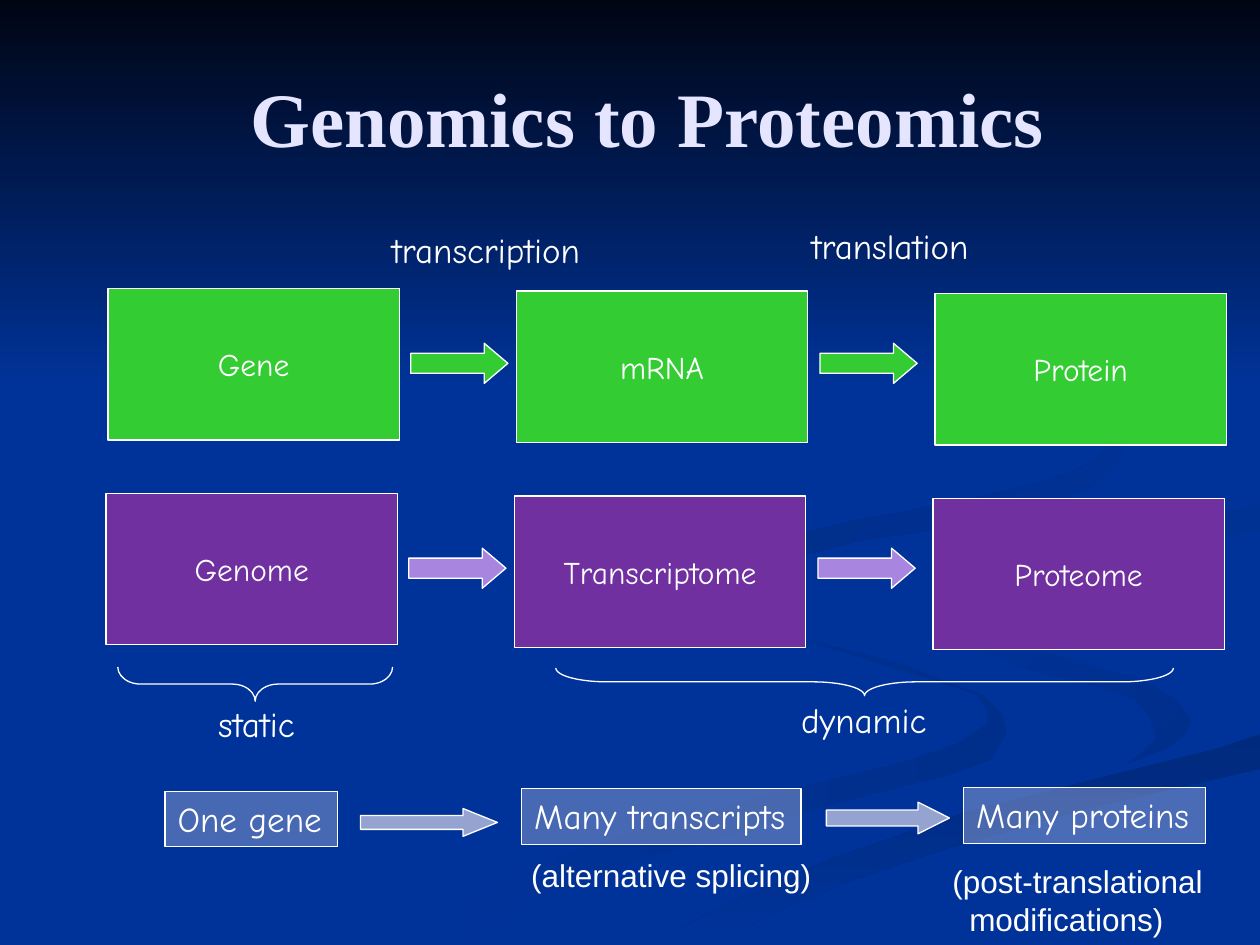
"""Build the slide that leads from genomics to proteomics."""
from dataclasses import dataclass

from lxml.etree import SubElement
from pptx import Presentation
from pptx.dml.color import RGBColor
from pptx.enum.shapes import MSO_SHAPE
from pptx.enum.text import MSO_ANCHOR, MSO_AUTO_SIZE, PP_ALIGN
from pptx.oxml.ns import qn
from pptx.util import Cm, Pt

WHITE, BLUE, GREEN, PURPLE = "FFFFFF", "003399", "33CC33", "7030A0"
LILAC, STEEL = "A886E0", "95A3D1"
HAND = {"name": "Comic Neue", "size": Pt(20)}
BOX_FONT = {"name": "Comic Neue", "size": Pt(18)}
PLAIN = {"name": "Arial", "size": Pt(18)}
TITLE_FONT = {"name": "Times New Roman", "size": Pt(44), "bold": True}
BOX_FRAME = {"vertical_anchor": MSO_ANCHOR.MIDDLE, "word_wrap": False}
LABEL_FRAME = {"vertical_anchor": MSO_ANCHOR.TOP, "word_wrap": False,
               "auto_size": MSO_AUTO_SIZE.NONE}


@dataclass
class Place:
    left: float
    top: float
    width: float
    height: float

    def lengths(self) -> list:
        return [Cm(n) for n in (self.left, self.top, self.width, self.height)]


@dataclass
class Swoosh:
    start: str
    end: str
    angle: int
    outline: list


@dataclass
class Stage:
    top: float
    shift: float
    names: tuple
    box_color: str
    arrow_color: str


@dataclass
class Label:
    place: Place
    lines: tuple
    font: dict
    indent: float = 0


SWOOSHES = [
    Swoosh(BLUE, "002E8B", 0, [
        (198, 140), (192, 138), (182, 134), (163, 129), (153, 124), (148, 121),
        (146, 117), (145, 120), (148, 123), (155, 127), (172, 132), (188, 137),
        (197, 140), (199, 143), (199, 146), (193, 150), (181, 154), (156, 160),
        (127, 168), (106, 175), (86, 185), (76, 190), (92, 190), (109, 181),
        (127, 174), (151, 167), (172, 161), (192, 156), (200, 153), (202, 149),
        (203, 148), (202, 144)]),
    Swoosh(BLUE, "002E8B", 45, [
        (240, 145), (237, 141), (230, 137), (216, 133), (201, 129), (189, 124),
        (185, 122), (184, 118), (184, 120), (188, 125), (195, 130), (207, 135),
        (220, 138), (229, 141), (232, 145), (233, 149), (230, 152), (227, 154),
        (235, 151), (239, 148)]),
    Swoosh("002A7D", BLUE, 90, [
        (132, 190), (128, 190), (145, 190), (156, 184), (170, 178), (191, 171),
        (219, 163), (253.5, 155), (253.5, 148), (245, 151), (229, 155), (194, 164),
        (168, 173), (145, 183)]),
    Swoosh("002D86", BLUE, 45, [
        (198, 117), (200, 120), (205, 124), (210, 126), (205, 123), (204, 120),
        (207, 117), (218, 113), (238, 109), (253.5, 107), (253.5, 102), (237, 105),
        (220, 108), (209, 110), (201, 114)]),
    Swoosh("002B82", BLUE, 45, [
        (173, 109), (194, 106), (210, 102), (220, 98), (226, 92), (227, 87),
        (225, 80), (219, 74), (209, 66), (194, 59), (210, 68), (219, 74),
        (225, 81), (226, 87), (221, 93), (211, 97), (194, 101), (172, 105),
        (156, 109), (148, 113), (147, 117), (150, 123), (158, 127), (152, 122),
        (151, 117), (158, 113)]),
    Swoosh("000514", BLUE, 90, [(0, 0), (0, 78.2), (254, 78.2), (254, 0)]),
]
STAGES = [
    Stage(5.82, 0, ("Gene", "mRNA", "Protein"), GREEN, GREEN),
    Stage(9.95, -0.04, ("Genome", "Transcriptome", "Proteome"), PURPLE, LILAC),
]
BOX_LEFTS, ARROW_LEFTS = (2.18, 10.41, 18.85), (8.28, 16.53)
BOX_DRIFT = 0.05
BRACES = [(Place(4.8, 11.02, 0.69, 5.54), 0.67),
          (Place(17.15, 7.52, 0.56, 12.45), 1.86)]
LABELS = [
    Label(Place(7.65, 4.48, 4.5, 1.12), ("transcription",), HAND),
    Label(Place(16.11, 4.4, 3.9, 1.12), ("translation",), HAND),
    Label(Place(4.15, 14.04, 2.25, 1.12), ("static",), HAND),
    Label(Place(15.9, 13.95, 3.25, 1.12), ("dynamic",), HAND),
    Label(Place(10.46, 17.14, 6.4, 1.02), ("(alternative splicing)",), PLAIN),
    Label(Place(18.95, 17.25, 5.8, 1.78),
          ("(post-translational", "modifications)"), PLAIN, 0.34),
]
CHIPS = [
    (Label(Place(3.33, 15.95, 3.48, 1.12), ("One gene",), HAND), 48),
    (Label(Place(10.52, 15.9, 5.63, 1.12), ("Many transcripts",), HAND), 48),
    (Label(Place(19.43, 15.88, 4.87, 1.12), ("Many proteins",), HAND), 50),
]
CHIP_ARROWS = [(Place(7.27, 16.3, 2.76, 0.56), 1.24),
               (Place(16.66, 16.17, 2.48, 0.64), 0.99)]


def rgb(code: str) -> RGBColor:
    """Turn a hex string into a colour."""
    return RGBColor.from_string(code)


def apply(target, values: dict) -> None:
    """Set every format value on the target."""
    for key, value in values.items():
        setattr(target, key, value)


def write(frame, lines: tuple, font: dict, layout: dict, align=PP_ALIGN.LEFT,
          color: str = WHITE, indent: float = 0) -> None:
    """Fill a text frame, indenting the lines after the first."""
    apply(frame, layout)
    for number, line in enumerate(lines):
        paragraph = frame.add_paragraph() if number else frame.paragraphs[0]
        paragraph.alignment = align
        if number and indent:
            paragraph._p.get_or_add_pPr().set("marL", str(Cm(indent)))
        run = paragraph.add_run()
        run.text = line
        apply(run.font, font)
        run.font.color.rgb = rgb(color)


def draw_shape(slide, kind, place: Place, fill: str = "", alpha: int = 100):
    """Draw a white-edged preset shape."""
    shape = slide.shapes.add_shape(kind, *place.lengths())
    shape.shadow.inherit = False
    shape.line.color.rgb = rgb(WHITE)
    shape.line.width = Pt(0.75)
    if not fill:
        shape.fill.background()
        return shape
    shape.fill.solid()
    shape.fill.fore_color.rgb = rgb(fill)
    if alpha < 100:
        tint = shape._element.spPr.find(qn("a:solidFill"))[0]
        SubElement(tint, qn("a:alpha")).set("val", str(alpha * 1000))
    return shape


def draw_arrow(slide, place: Place, fill: str, head: float) -> None:
    """Draw a right arrow with the given head length."""
    draw_shape(slide, MSO_SHAPE.RIGHT_ARROW, place, fill).adjustments[1] = head


def draw_swoosh(slide, swoosh: Swoosh) -> None:
    """Draw a gradient outline given in millimetres."""
    first, *rest = swoosh.outline
    builder = slide.shapes.build_freeform(*first, scale=Cm(0.1))
    builder.add_line_segments(rest, close=True)
    shape = builder.convert_to_shape()
    shape.shadow.inherit = False
    shape.line.fill.background()
    shape.fill.gradient()
    shape.fill.gradient_angle = -swoosh.angle % 360
    for stop, color in zip(shape.fill.gradient_stops, (swoosh.start, swoosh.end)):
        stop.color.rgb = rgb(color)


def draw_stage(slide, stage: Stage) -> None:
    """Draw a row of three boxes joined by two arrows."""
    for column, (left, name) in enumerate(zip(BOX_LEFTS, stage.names)):
        place = Place(left + stage.shift, stage.top + column * BOX_DRIFT, 5.87, 3.05)
        box = draw_shape(slide, MSO_SHAPE.RECTANGLE, place, stage.box_color)
        write(box.text_frame, (name,), BOX_FONT, BOX_FRAME, PP_ALIGN.CENTER)
    for left in ARROW_LEFTS:
        place = Place(left + stage.shift, stage.top + 1.1, 1.96, 0.81)
        draw_arrow(slide, place, stage.arrow_color, 0.59)


def main() -> None:
    """Build and save the slide."""
    deck = Presentation()
    deck.slide_width, deck.slide_height = Cm(25.4), Cm(19.05)
    slide = deck.slides.add_slide(deck.slide_layouts[5])
    slide.background.fill.solid()
    slide.background.fill.fore_color.rgb = rgb(BLUE)
    title = slide.shapes.title
    apply(title, dict(zip(("left", "top", "width", "height"),
                          Place(2.26, 0.76, 21.59, 3.18).lengths())))
    write(title.text_frame, ("Genomics to Proteomics",), TITLE_FONT,
          {"vertical_anchor": MSO_ANCHOR.MIDDLE}, PP_ALIGN.CENTER, "E5E5FF")
    for swoosh in SWOOSHES:
        draw_swoosh(slide, swoosh)
    slide.shapes._spTree.append(title._element)
    for stage in STAGES:
        draw_stage(slide, stage)
    for place, curl in BRACES:
        brace = draw_shape(slide, MSO_SHAPE.LEFT_BRACE, place)
        brace.rotation = 270
        brace.adjustments[0] = curl
    for label in LABELS:
        box = slide.shapes.add_textbox(*label.place.lengths())
        write(box.text_frame, label.lines, label.font, LABEL_FRAME, indent=label.indent)
    for label, alpha in CHIPS:
        chip = draw_shape(slide, MSO_SHAPE.RECTANGLE, label.place, STEEL, alpha)
        write(chip.text_frame, label.lines, label.font, LABEL_FRAME)
    for place, head in CHIP_ARROWS:
        draw_arrow(slide, place, STEEL, head)
    deck.save("out.pptx")


if __name__ == "__main__":
    main()
